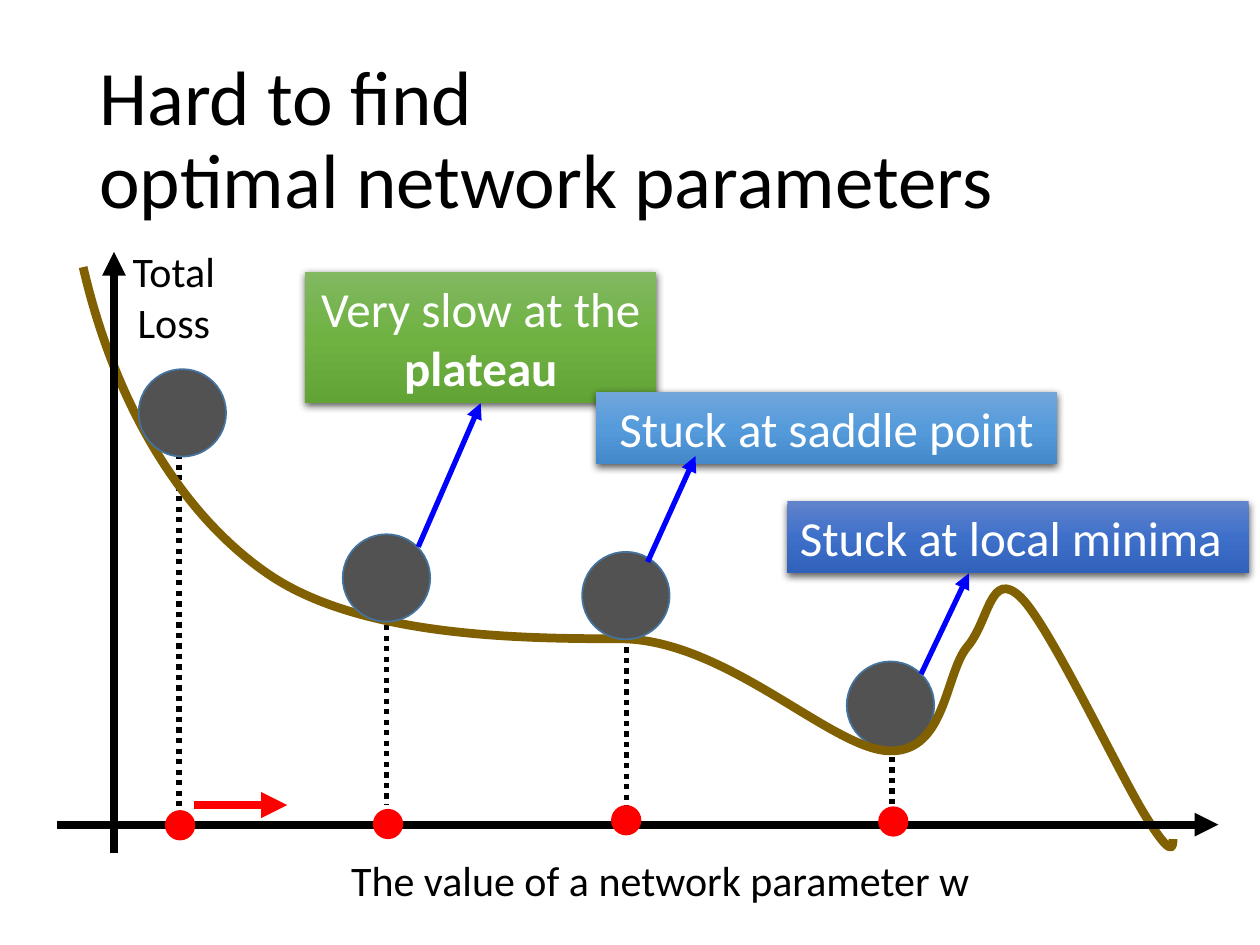
from lxml.etree import SubElement
from pptx import Presentation
from pptx.dml.color import RGBColor
from pptx.enum.dml import MSO_LINE
from pptx.enum.shapes import MSO_CONNECTOR, MSO_SHAPE
from pptx.enum.text import MSO_ANCHOR, MSO_AUTO_SIZE, PP_ALIGN
from pptx.oxml.ns import qn
from pptx.util import Inches, Pt

CELL = Inches(0.1)  # the slide is a grid of 100 columns by 75 rows
COLS, ROWS = 100, 75
FONT = "Calibri"
BALL, DOT = 6.94, 2.4
AXIS_ROW, AXIS_COL = 65.45, 9.05

# Start of the loss curve, then two control points and an end per piece
CURVE_START = (6.6, 21.2)
CURVE_HEIGHT = 46
CURVE_PIECES = [
    ((9, 31.6), (14.1, 40.6), (21.2, 45.5)),
    ((28.4, 50.5), (40.9, 50.7), (49.2, 50.7)),
    ((57.6, 50.7), (66, 59.5), (70.6, 59.6)),
    ((75.1, 59.7), (75, 53.4), (76.8, 51.3)),
    ((78.5, 49.3), (78.6, 45.1), (81, 47.4)),
    ((83.3, 49.6), (88.9, 61.6), (91, 64.9)),
    ((93, 68.1), (93.1, 67.3), (93.1, 66.6)),
]


def grid(*cells):
    return [round(c * CELL) for c in cells]


def color(hex_code):
    return RGBColor.from_string(hex_code)


def add_runs(p, runs, size, hex_code):
    """Add (text, bold) runs to a paragraph."""
    for text, bold in runs:
        r = p.add_run()
        r.text = text
        r.font.name, r.font.size, r.font.bold = FONT, Pt(size), bold
        r.font.color.rgb = color(hex_code)


def add_label(slide, box, lines, size, align):
    tf = slide.shapes.add_textbox(*grid(*box)).text_frame
    tf.word_wrap = True
    tf.auto_size = MSO_AUTO_SIZE.SHAPE_TO_FIT_TEXT
    for i, line in enumerate(lines):
        p = tf.paragraphs[0] if i == 0 else tf.add_paragraph()
        p.alignment = align
        add_runs(p, [(line, None)], size, "000000")
    return tf


def add_title(slide, first, second):
    tf = add_label(slide, (6.9, 4, 86.2, 14.5), [first], 44, PP_ALIGN.LEFT)
    tf.auto_size = MSO_AUTO_SIZE.NONE
    tf.vertical_anchor = MSO_ANCHOR.MIDDLE
    p = tf.paragraphs[0]
    p.line_spacing = 0.9
    p.add_line_break()
    add_runs(p, [(second, None)], 44, "000000")


def add_line(slide, start, end, hex_code, width, arrow=True):
    """Add a straight arrow, or a dotted line when arrow is False."""
    cx = slide.shapes.add_connector(MSO_CONNECTOR.STRAIGHT, *grid(*start, *end))
    cx.line.color.rgb = color(hex_code)
    cx.line.width = Pt(width)
    if arrow:
        ln = cx._element.spPr.find(qn("a:ln"))
        SubElement(ln, qn("a:tailEnd"), type="triangle")
    else:
        cx.line.dash_style = MSO_LINE.ROUND_DOT
    SubElement(cx._element.spPr, qn("a:effectLst"))
    return cx


def add_circle(slide, left, top, size, fill, outline=None):
    sp = slide.shapes.add_shape(MSO_SHAPE.OVAL, *grid(left, top, size, size))
    sp.shadow.inherit = False
    sp.fill.solid()
    sp.fill.fore_color.rgb = color(fill)
    if outline:
        sp.line.color.rgb = color(outline)
        sp.line.width = Pt(1)
    else:
        sp.line.fill.background()


def add_ball(slide, left, top):
    add_circle(slide, left, top, BALL, "525252", "43739E")


def add_loss_curve(slide):
    builder = slide.shapes.build_freeform(*grid(*CURVE_START))
    points = [grid(*pt) for piece in CURVE_PIECES for pt in piece]
    builder.add_line_segments(points, close=False)
    sp = builder.convert_to_shape()
    outline = sp._element.spPr.find(".//" + qn("a:path"))
    corners = outline.findall(qn("a:lnTo"))
    for i in range(0, len(corners), 3):
        curve = SubElement(outline, qn("a:cubicBezTo"))
        for corner in corners[i:i + 3]:
            curve.append(corner[0])
            outline.remove(corner)
    # Control points reach below the curve, so the frame is trimmed to it
    sp.height = grid(CURVE_HEIGHT)[0]
    outline.set("h", str(sp.height))
    sp.shadow.inherit = False
    sp.fill.background()
    sp.line.color.rgb = color("806000")
    sp.line.width = Pt(5)


def set_gradient(sp, stops):
    """Fill from top to bottom with evenly spaced colours."""
    sp.fill.gradient()
    sp.fill.gradient_angle = 270
    stop_list = sp._element.spPr.find(".//" + qn("a:gsLst"))
    for old in list(stop_list):
        stop_list.remove(old)
    for i, hex_code in enumerate(stops):
        pos = 100000 * i // (len(stops) - 1)
        gs = SubElement(stop_list, qn("a:gs"), pos=str(pos))
        SubElement(gs, qn("a:srgbClr"), val=hex_code)


def set_shadow(sp):
    sp.shadow.inherit = False
    effects = sp._element.spPr.find(qn("a:effectLst"))
    shadow = SubElement(effects, qn("a:outerShdw"), blurRad=str(Pt(4.5)),
                        dist=str(Pt(1.5)), dir="5400000", rotWithShape="0")
    black = SubElement(shadow, qn("a:srgbClr"), val="000000")
    SubElement(black, qn("a:alpha"), val="63000")


def add_callout(slide, box, runs, stops, align=PP_ALIGN.CENTER):
    sp = slide.shapes.add_shape(MSO_SHAPE.RECTANGLE, *grid(*box))
    set_gradient(sp, stops)
    sp.line.fill.background()
    set_shadow(sp)
    tf = sp.text_frame
    tf.word_wrap = True
    tf.auto_size = MSO_AUTO_SIZE.SHAPE_TO_FIT_TEXT
    tf.vertical_anchor = MSO_ANCHOR.TOP
    p = tf.paragraphs[0]
    p.alignment = align
    add_runs(p, runs, 28, "FFFFFF")
    return sp


def main():
    prs = Presentation()
    prs.slide_width, prs.slide_height = grid(COLS, ROWS)
    slide = prs.slides.add_slide(prs.slide_layouts[6])

    add_line(slide, (70.8, 55.9), (70.8, 63.9), "000000", 3, arrow=False)
    add_ball(slide, 67.2, 52.5)
    for col, top, bottom in [(49.7, 44.7, 64), (30.7, 44.6, 63.9),
                             (14.2, 32.7, 64.2)]:
        add_line(slide, (col, top), (col, bottom), "000000", 3, arrow=False)
    add_line(slide, (15.4, 63.9), (22.8, 63.9), "FF0000", 5)
    add_title(slide, "Hard to find ", "optimal network parameters")
    add_loss_curve(slide)
    add_ball(slide, 46.2, 43.8)

    add_line(slide, (4.5, AXIS_ROW), (96.7, AXIS_ROW), "000000", 4.5)
    add_line(slide, (AXIS_COL, 67.7), (AXIS_COL, 20), "000000", 4.5)
    add_label(slide, (8.5, 19, 10.6, 9.1), ["Total", "Loss"], 24, PP_ALIGN.CENTER)
    add_label(slide, (24, 67.3, 56.8, 5), ["The value of a network parameter w"],
              24, PP_ALIGN.CENTER)

    plateau = add_callout(slide, (24.2, 21.6, 27.9, 10.4),
                          [("Very slow at the ", None), ("plateau", True)],
                          ("81B861", "6FB242", "62A336"))
    add_callout(slide, (62.5, 39.8, 36.6, 5.7), [("Stuck at local minima", None)],
                ("6183CB", "3E70CA", "3062BB"), PP_ALIGN.LEFT)
    add_ball(slide, 11, 29.3)
    add_ball(slide, 27.2, 42.4)
    add_callout(slide, (47.3, 31.1, 36.6, 5.7), [("Stuck at saddle point", None)],
                ("71A6DB", "559BDB", "448ACA"))

    add_line(slide, (73.1, 53.5), (76.9, 45.5), "0000FF", 3)
    add_line(slide, (51.4, 44.6), (55.2, 36.2), "0000FF", 3)
    add_line(slide, (33.2, 43.4), (38.1, 32), "0000FF", 3).end_connect(plateau, 2)

    for left, top in [(13.1, 64.3), (29.6, 64.2), (48.5, 63.9), (69.7, 64)]:
        add_circle(slide, left, top, DOT, "FF0000")

    prs.save("out.pptx")


if __name__ == "__main__":
    main()
